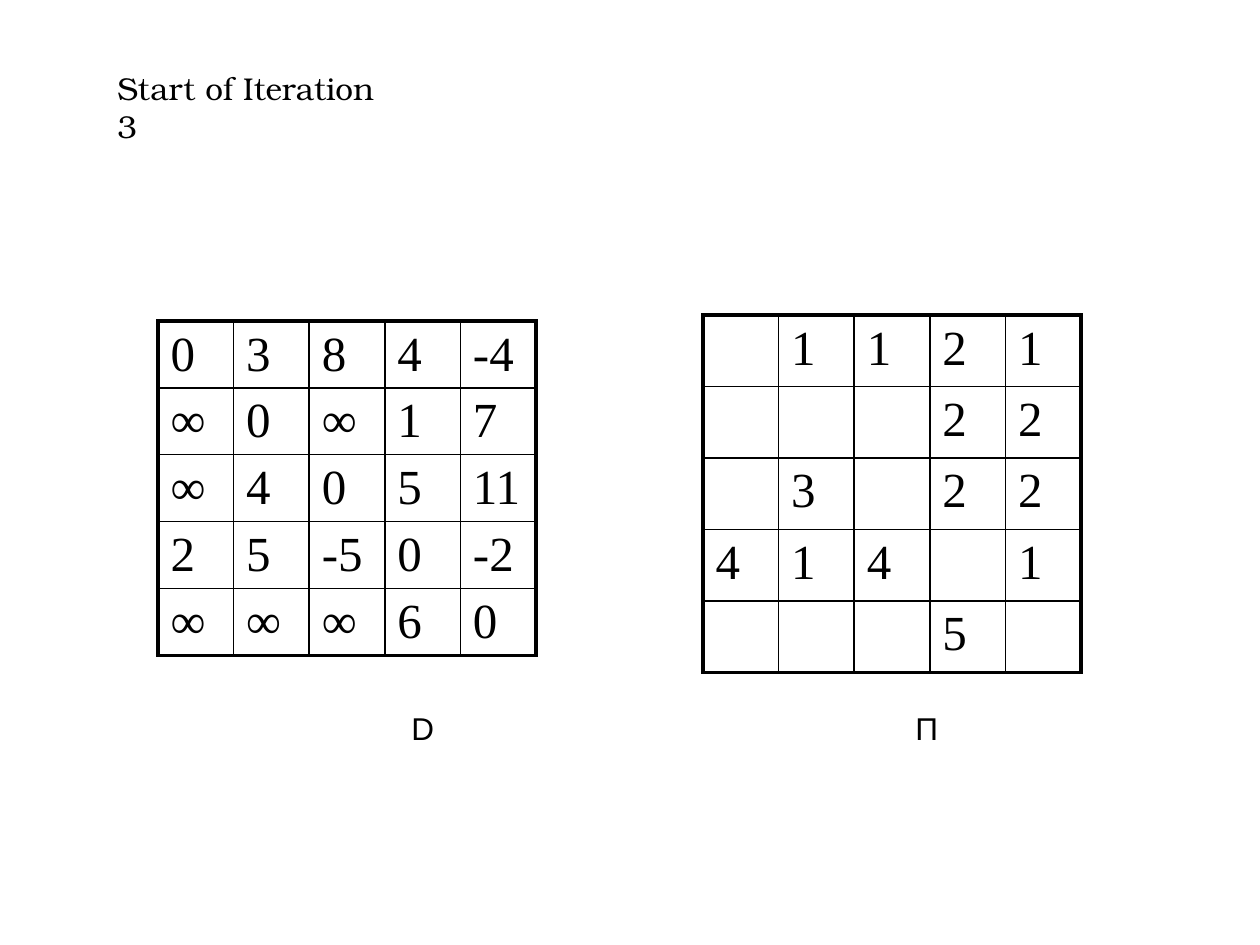
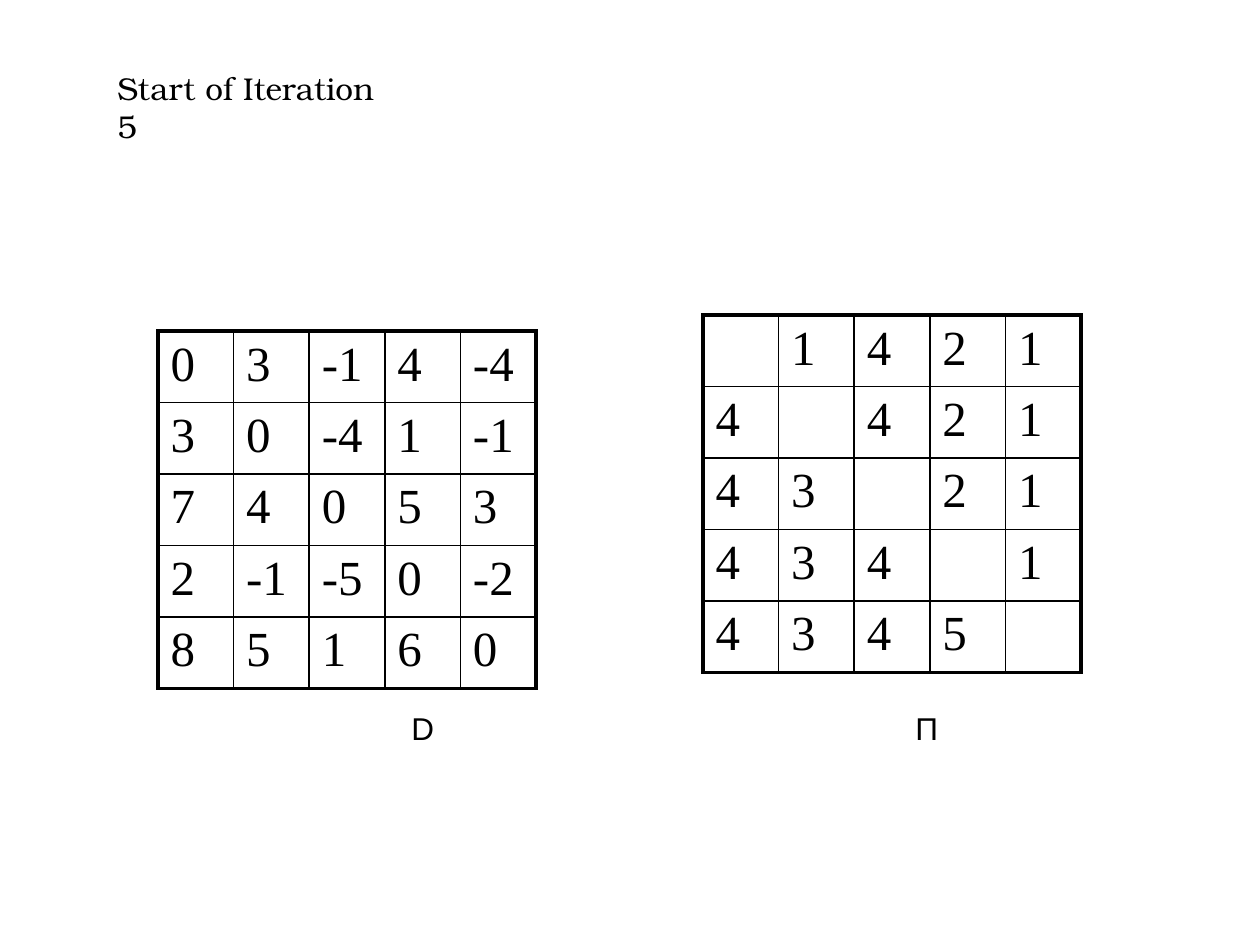
import pptx
import pptx.dml.color
import pptx.oxml
import pptx.oxml.ns
import pptx.util

PX = 914400 / 126
COLORS = {"ink": "000000"}
FONTS = {"title": "TeX Gyre Bonum", "caption": "Arial", "matrix": "Times New Roman"}
OUTER_LINE, INNER_LINE = 2.25, 1

TITLE_BOX = (105, 63, 283, 50)
CAPTION_BOX = (273, 703, 712, 50)
CAPTION_TABS = (126, 630)
PREDECESSOR_BOX = (703, 315, 378, 357)

# Each iteration: number, box of the distance matrix, distances, predecessors
ITERATIONS = [
    (
        3,
        (158, 321, 378, 334),
        [
            ["0", "3", "8", "4", "-4"],
            ["∞", "0", "∞", "1", "7"],
            ["∞", "4", "0", "5", "11"],
            ["2", "5", "-5", "0", "-2"],
            ["∞", "∞", "∞", "6", "0"],
        ],
        [
            ["", "1", "1", "2", "1"],
            ["", "", "", "2", "2"],
            ["", "3", "", "2", "2"],
            ["4", "1", "4", "", "1"],
            ["", "", "", "5", ""],
        ],
    ),
    (
        5,
        (158, 331, 378, 357),
        [
            ["0", "3", "-1", "4", "-4"],
            ["3", "0", "-4", "1", "-1"],
            ["7", "4", "0", "5", "3"],
            ["2", "-1", "-5", "0", "-2"],
            ["8", "5", "1", "6", "0"],
        ],
        [
            ["", "1", "4", "2", "1"],
            ["4", "", "4", "2", "1"],
            ["4", "3", "", "2", "1"],
            ["4", "3", "4", "", "1"],
            ["4", "3", "4", "5", ""],
        ],
    ),
]


def emu(pixels):
    return pptx.util.Emu(round(pixels * PX))


def write_text(text_frame, text, *, font, size, color="ink", tabs=()):
    paragraph = text_frame.paragraphs[0]
    if tabs:
        properties = paragraph._p.get_or_add_pPr()
        tab_list = pptx.oxml.parse_xml(f"<a:tabLst {pptx.oxml.ns.nsdecls('a')}/>")
        for position in tabs:
            tab_list.append(pptx.oxml.parse_xml(
                f'<a:tab {pptx.oxml.ns.nsdecls("a")} pos="{emu(position)}" algn="l"/>'))
        properties.append(tab_list)
    run = paragraph.add_run()
    run.text = text
    run.font.name = font
    run.font.size = pptx.util.Pt(size)
    run.font.color.rgb = pptx.dml.color.RGBColor.from_string(COLORS[color])


def add_text(slide, box, text, **text_format):
    shape = slide.shapes.add_textbox(*map(emu, box))
    shape.text_frame.word_wrap = True
    write_text(shape.text_frame, text, **text_format)


def set_borders(cell, widths):
    """Draw cell borders; widths are points for left, right, top, bottom."""
    properties = cell._tc.get_or_add_tcPr()
    for index, (side, width) in enumerate(zip("LRTB", widths)):
        properties.insert(index, pptx.oxml.parse_xml(
            f'<a:ln{side} {pptx.oxml.ns.nsdecls("a")} w="{pptx.util.Pt(width)}">'
            f'<a:solidFill><a:srgbClr val="{COLORS["ink"]}"/></a:solidFill></a:ln{side}>'))


def add_matrix(slide, box, rows):
    row_count, column_count = len(rows), len(rows[0])
    table = slide.shapes.add_table(row_count, column_count, *map(emu, box)).table
    table.first_row = table.horz_banding = False
    for column in table.columns:
        column.width = emu(box[2] / column_count)
    for row in table.rows:
        row.height = emu(box[3] / row_count)
    for r, values in enumerate(rows):
        for c, value in enumerate(values):
            cell = table.cell(r, c)
            cell.fill.background()
            on_edge = (c == 0, c == column_count - 1, r == 0, r == row_count - 1)
            set_borders(cell, [OUTER_LINE if edge else INNER_LINE for edge in on_edge])
            if value:
                write_text(cell.text_frame, value, font=FONTS["matrix"], size=28)


def add_iteration_slide(presentation, number, distance_box, distances, predecessors):
    slide = presentation.slides.add_slide(presentation.slide_layouts[6])
    add_matrix(slide, distance_box, distances)
    add_text(slide, CAPTION_BOX, "\tD\tΠ", font=FONTS["caption"], size=18,
             tabs=CAPTION_TABS)
    add_text(slide, TITLE_BOX, f"Start of Iteration {number}", font=FONTS["title"], size=18)
    add_matrix(slide, PREDECESSOR_BOX, predecessors)


def main():
    presentation = pptx.Presentation()
    presentation.slide_width, presentation.slide_height = emu(1260), emu(945)
    for iteration in ITERATIONS:
        add_iteration_slide(presentation, *iteration)
    presentation.save("out.pptx")


if __name__ == "__main__":
    main()
